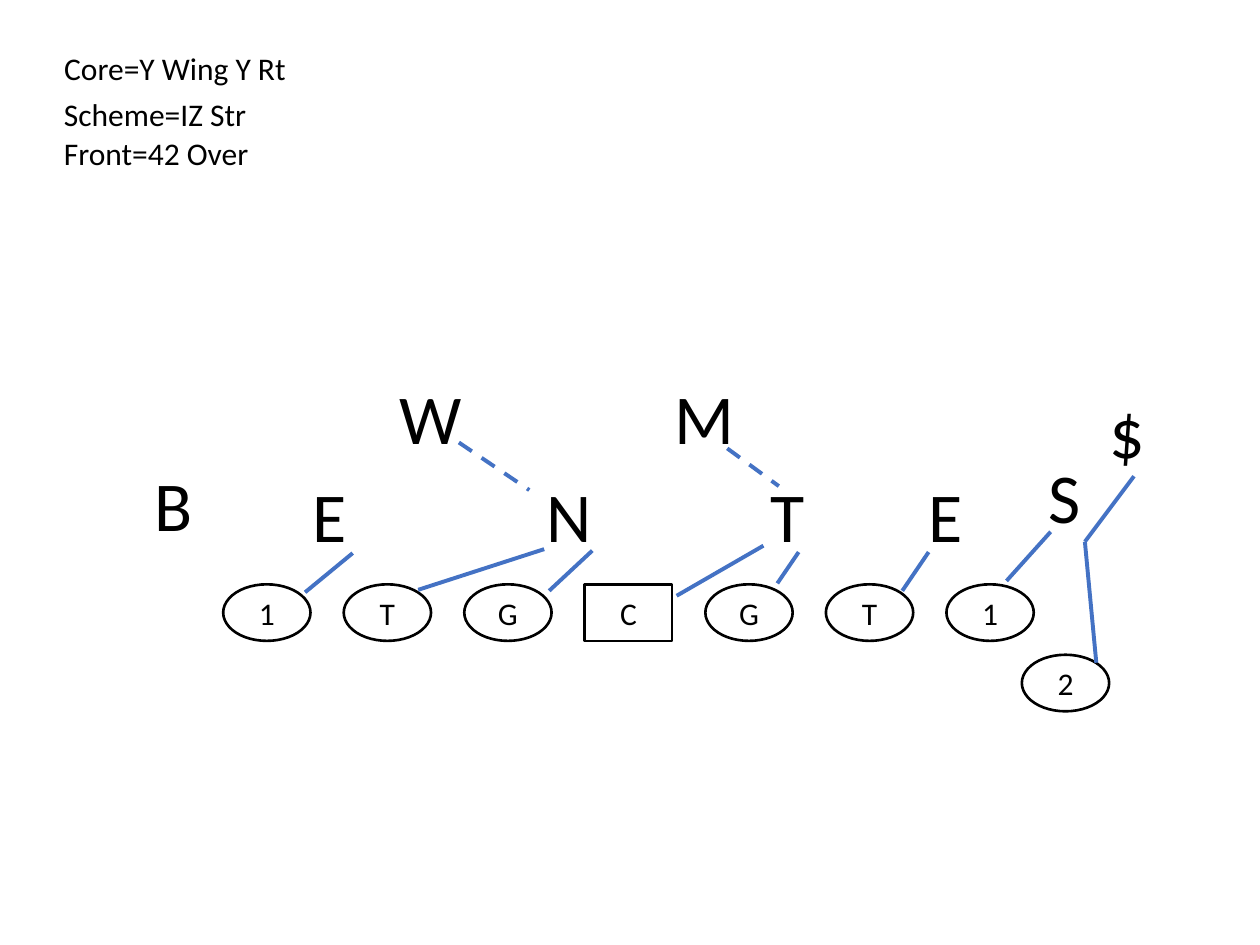
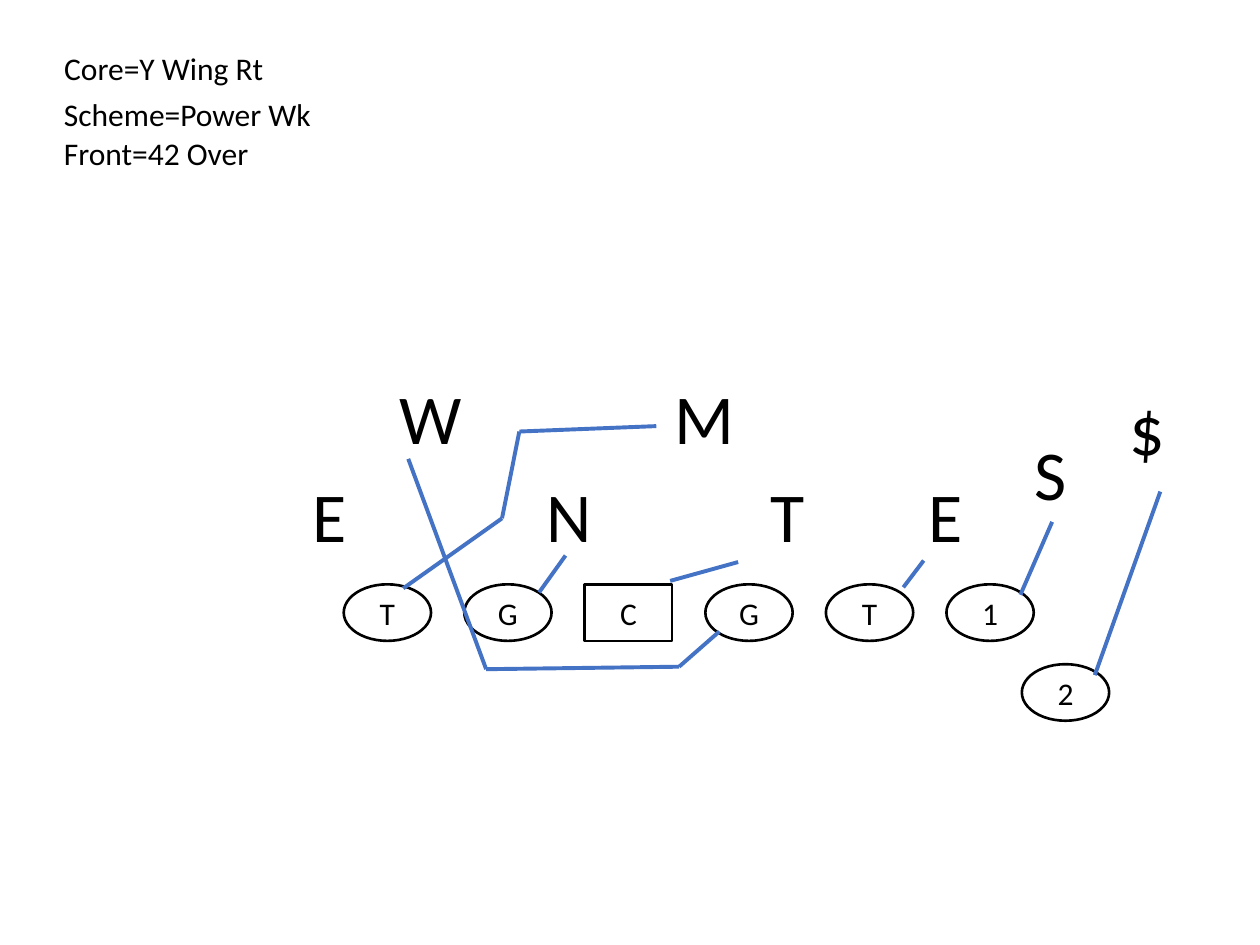
from itertools import pairwise

from lxml.etree import SubElement
from pptx import Presentation
from pptx.dml.color import RGBColor
from pptx.enum.dml import MSO_LINE
from pptx.enum.shapes import MSO_CONNECTOR, MSO_SHAPE
from pptx.enum.text import MSO_ANCHOR, MSO_AUTO_SIZE, PP_ALIGN
from pptx.oxml.ns import qn
from pptx.util import Cm, Pt

BLACK = RGBColor(0x00, 0x00, 0x00)
WHITE = RGBColor(0xFF, 0xFF, 0xFF)
BLUE = RGBColor(0x44, 0x72, 0xC4)
FONT = "Calibri"

HEADER_BOX = (1.04, 0.86)
HEADER_OFFSETS = (0, 0.94, 1.71)
HEADER_HEIGHT = 1.02
FIELD_BOX = (2.5, 7)

LINE_START, LINE_TOP, LINE_PITCH = 2, 4.78, 2.43
BLOCKER_SIZE = (1.76, 1.14)
WING_LEFT = 18.1
LETTER_WIDTHS = {"N": 1.42, "T": 1.22, "E": 1.22, "S": 1.22,
                 "W": 1.78, "M": 1.78, "B": 1.3, "$": 1.24}
LETTER_HEIGHT = 1.96
FRONT = [("N", 8.27, 2.4), ("T", 12.79, 2.4), ("E", 15.97, 2.4),
         ("E", 3.55, 2.4), ("W", 5.3, 0.42), ("M", 10.84, 0.42)]

INSIDE_ZONE = {
    "header": [("Core=Y Wing Y Rt", 5.03), ("Scheme=IZ Str", 4.37),
               ("Front=42 Over", 4.42)],
    "line": "1TGCGT1",
    "wing_top": 6.2,
    "defenders": FRONT + [("S", 18.38, 2.02), ("B", 0.37, 2.17),
                          ("$", 19.62, 0.7)],
    "blocks": [
        [(18.68, 3.72), (17.79, 4.71)],
        [(19.6, 6.36), (19.37, 3.92), (20.36, 2.6)],
        [(16.22, 4.13), (15.69, 4.91)],
        [(13.6, 4.13), (13.17, 4.76)],
        [(12.89, 4), (11.14, 5.01)],
        [(9.44, 4.1), (8.57, 4.91)],
        [(8.47, 4.07), (5.93, 4.89)],
        [(4.61, 4.15), (3.65, 4.94)],
    ],
    "climbs": [[(12.16, 2.04), (13.2, 2.8)], [(6.75, 1.92), (8.17, 2.88)]],
}
POWER = {
    "header": [("Core=Y Wing Rt", 4.57), ("Scheme=Power Wk", 5.54),
               ("Front=42 Over", 4.42)],
    "line": " TGCGT1",
    "wing_top": 6.39,
    "defenders": FRONT + [("S", 18.1, 1.56), ("$", 20.03, 0.65)],
    "blocks": [
        [(8.37, 4.94), (8.9, 4.2)],
        [(11.01, 4.71), (12.38, 4.33)],
        [(16.12, 4.3), (15.71, 4.84)],
        [(18.07, 4.99), (18.71, 3.52)],
        [(19.57, 6.61), (20.89, 2.91)],
        [(5.63, 4.86), (7.62, 3.45), (7.97, 1.7), (10.73, 1.59)],
        [(12, 5.73), (11.19, 6.44), (7.3, 6.49), (5.73, 2.25)],
    ],
    "climbs": [],
}


def write(sp, text, size, align=PP_ALIGN.LEFT, anchor=MSO_ANCHOR.TOP):
    """Put one line of black text in a shape."""
    tf = sp.text_frame
    tf.text = text
    tf.vertical_anchor = anchor
    p = tf.paragraphs[0]
    p.alignment = align
    font = p.runs[0].font
    font.name, font.size, font.color.rgb = FONT, Pt(size), BLACK


def fit_to_text(sp):
    """Let a text shape grow with an unwrapped line."""
    sp.text_frame.word_wrap = False
    sp.text_frame.auto_size = MSO_AUTO_SIZE.SHAPE_TO_FIT_TEXT


def add_header(slide, box, lines):
    """Write the core as title, with scheme and front below it."""
    left, top = box
    for i, ((text, width), offset) in enumerate(zip(lines, HEADER_OFFSETS)):
        place = (Cm(left), Cm(top + offset), Cm(width), Cm(HEADER_HEIGHT))
        if i == 0:
            sp = slide.shapes.title
            sp.left, sp.top, sp.width, sp.height = place
        else:
            sp = slide.shapes.add_textbox(*place)
        write(sp, text, 18)
        fit_to_text(sp)


def add_blocker(slide, label, left, top):
    """Draw one offensive player; the center is a square."""
    kind = MSO_SHAPE.RECTANGLE if label == "C" else MSO_SHAPE.OVAL
    width, height = BLOCKER_SIZE
    sp = slide.shapes.add_shape(kind, Cm(left), Cm(top), Cm(width), Cm(height))
    sp.shadow.inherit = False
    sp.fill.solid()
    sp.fill.fore_color.rgb = WHITE
    sp.line.color.rgb = BLACK
    sp.line.width = Pt(1.5)
    write(sp, label, 18, PP_ALIGN.CENTER, MSO_ANCHOR.MIDDLE)


def add_defender(slide, letter, left, top):
    """Write one defender's letter."""
    sp = slide.shapes.add_textbox(Cm(left), Cm(top), Cm(LETTER_WIDTHS[letter]),
                                  Cm(LETTER_HEIGHT))
    write(sp, letter, 40)
    fit_to_text(sp)


def add_route(slide, box, points, dashed=False):
    """Join successive points with blue lines."""
    left, top = box
    for (x1, y1), (x2, y2) in pairwise(points):
        line = slide.shapes.add_connector(
            MSO_CONNECTOR.STRAIGHT, Cm(left + x1), Cm(top + y1),
            Cm(left + x2), Cm(top + y2))
        line.line.color.rgb = BLUE
        line.line.width = Pt(2.25)
        if dashed:
            line.line.dash_style = MSO_LINE.DASH
        SubElement(line._element.spPr, qn("a:effectLst"))


def add_field(slide, box, play):
    """Draw the offense, the defense and the blocking routes."""
    left, top = box
    for i, label in enumerate(play["line"]):
        if label != " ":
            add_blocker(slide, label, left + LINE_START + i * LINE_PITCH,
                        top + LINE_TOP)
    add_blocker(slide, "2", left + WING_LEFT, top + play["wing_top"])
    for letter, x, y in play["defenders"]:
        add_defender(slide, letter, left + x, top + y)
    for points in play["blocks"]:
        add_route(slide, box, points)
    for points in play["climbs"]:
        add_route(slide, box, points, dashed=True)


def add_play(prs, play):
    """Add one play slide."""
    slide = prs.slides.add_slide(prs.slide_layouts[5])
    add_header(slide, HEADER_BOX, play["header"])
    add_field(slide, FIELD_BOX, play)


def main():
    """Build the playbook."""
    prs = Presentation()
    prs.slide_width, prs.slide_height = Cm(25.4), Cm(19.05)
    for play in (INSIDE_ZONE, POWER):
        add_play(prs, play)
    prs.save("out.pptx")


if __name__ == "__main__":
    main()
